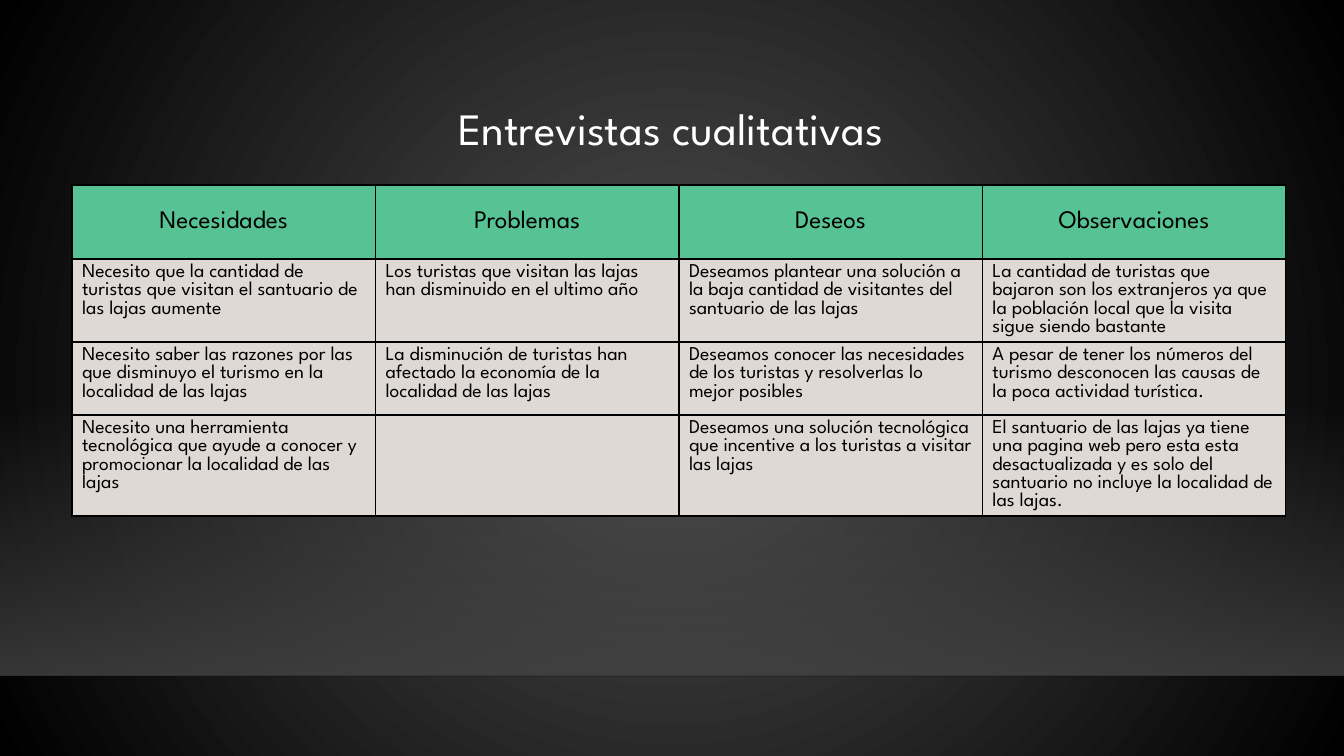
import pptx
import pptx.dml.color
import pptx.enum.shapes
import pptx.enum.text
import pptx.oxml
import pptx.oxml.ns
import pptx.util

RGBColor = pptx.dml.color.RGBColor
Pt = pptx.util.Pt
ALIGN = pptx.enum.text.PP_ALIGN
ANCHOR = pptx.enum.text.MSO_ANCHOR

HEADING = "Entrevistas cualitativas"
TOPICS = ["Necesidades", "Problemas", "Deseos", "Observaciones"]
ANSWERS = [
    [
        "Necesito que la cantidad de turistas que visitan el santuario de las lajas aumente",
        "Los turistas que visitan las lajas han disminuido en el ultimo año",
        "Deseamos plantear una solución a la baja cantidad de visitantes del santuario de las lajas",
        "La cantidad de turistas que bajaron son los extranjeros ya que la población local que la visita sigue siendo bastante",
    ],
    [
        "Necesito saber las razones por las que disminuyo el turismo en la localidad de las lajas",
        "La disminución de turistas han afectado la economía de la localidad de las lajas",
        "Deseamos conocer las necesidades de los turistas y resolverlas lo mejor posibles",
        "A pesar de tener los números del turismo desconocen las causas de la poca actividad turística.",
    ],
    [
        "Necesito una herramienta tecnológica que ayude a conocer y promocionar la localidad de las lajas",
        "",
        "Deseamos una solución tecnológica que incentive a los turistas a visitar las lajas",
        "El santuario de las lajas ya tiene una pagina web pero esta esta desactualizada y es solo del santuario no incluye la localidad de las lajas.",
    ],
]

WHITE = RGBColor(0xFF, 0xFF, 0xFF)
BLACK = RGBColor(0, 0, 0)
GREEN = RGBColor(0x57, 0xC2, 0x93)
SAND = RGBColor(0xDF, 0xD9, 0xD5)
GLOW = RGBColor(0x50, 0x50, 0x50)
FLOOR = RGBColor(0x45, 0x45, 0x45)

FONT = "League Spartan"
HEADING_FONT = {"name": FONT, "size": Pt(32), "bold": False}
TOPIC_FONT = {"name": FONT, "size": Pt(18), "bold": False}
ANSWER_FONT = {"name": FONT, "size": Pt(14), "bold": False}

SLIDE_WIDTH, SLIDE_HEIGHT = 1344, 756
FLOOR_TOP, FLOOR_BOTTOM = 400, 676
HEADING_BOX = (395, 95, 552, 65)
TABLE_LEFT, TABLE_TOP, TABLE_WIDTH = 72, 185, 1214
ROW_HEIGHTS = [74, 83, 73, 101]
EMU_PER_PX = 914400 / 100.8
NAMESPACE = pptx.oxml.ns.nsdecls("a")


def px(length):
    return pptx.util.Emu(round(length * EMU_PER_PX))


def box(*lengths):
    return [px(length) for length in lengths]


def assign(target, values):
    for attribute, value in values.items():
        setattr(target, attribute, value)


def write(paragraph, text, font_format, color, alignment):
    paragraph.alignment = alignment
    if text:
        run = paragraph.add_run()
        run.text = text
        assign(run.font, font_format)
        run.font.color.rgb = color


def set_alpha(color_element, percent):
    color_element.append(pptx.oxml.parse_xml(f'<a:alpha {NAMESPACE} val="{percent * 1000}"/>'))


def set_gradient(fill, owner, colors, direction):
    fill.gradient()
    for stop, color in zip(fill.gradient_stops, colors):
        stop.color.rgb = color
    gradient = owner.xpath(".//a:gradFill")[0]
    for linear in gradient.xpath("./a:lin"):
        gradient.remove(linear)
    gradient.append(pptx.oxml.parse_xml(direction))
    return gradient.xpath(".//a:srgbClr")


def add_backdrop(slide):
    radial = (
        f'<a:path {NAMESPACE} path="circle">'
        '<a:fillToRect l="50000" t="50000" r="50000" b="50000"/></a:path>'
    )
    set_gradient(slide.background.fill, slide.element, [GLOW, BLACK], radial)

    floor = slide.shapes.add_shape(
        pptx.enum.shapes.MSO_SHAPE.RECTANGLE,
        *box(0, FLOOR_TOP, SLIDE_WIDTH, FLOOR_BOTTOM - FLOOR_TOP),
    )
    floor.shadow.inherit = False
    floor.line.fill.background()
    downward = f'<a:lin {NAMESPACE} ang="5400000" scaled="0"/>'
    stops = set_gradient(floor.fill, floor.element, [FLOOR, FLOOR], downward)
    for stop, percent in zip(stops, [0, 80]):
        set_alpha(stop, percent)

    edge = slide.shapes.add_connector(
        pptx.enum.shapes.MSO_CONNECTOR.STRAIGHT,
        *box(0, FLOOR_BOTTOM, SLIDE_WIDTH, FLOOR_BOTTOM),
    )
    edge.line.width = Pt(1)
    edge.line.color.rgb = BLACK
    set_alpha(edge.element.xpath(".//a:ln//a:srgbClr")[0], 20)
    edge.element.spPr.append(pptx.oxml.parse_xml(f"<a:effectLst {NAMESPACE}/>"))


def add_heading(slide):
    heading = slide.shapes.title
    assign(heading, dict(zip(("left", "top", "width", "height"), box(*HEADING_BOX))))
    assign(heading.text_frame, {
        "word_wrap": True,
        "auto_size": pptx.enum.text.MSO_AUTO_SIZE.NONE,
        "vertical_anchor": ANCHOR.BOTTOM,
    })
    write(heading.text_frame.paragraphs[0], HEADING, HEADING_FONT, WHITE, ALIGN.CENTER)


def add_borders(cell):
    properties = cell._tc.get_or_add_tcPr()
    for side in "LRTB":
        properties.append(pptx.oxml.parse_xml(
            f'<a:ln{side} {NAMESPACE} w="{Pt(1)}"><a:solidFill>'
            f'<a:srgbClr val="{BLACK}"/></a:solidFill></a:ln{side}>'
        ))


def add_interviews(slide):
    rows = [TOPICS] + ANSWERS
    interviews = slide.shapes.add_table(
        len(rows), len(TOPICS),
        *box(TABLE_LEFT, TABLE_TOP, TABLE_WIDTH, sum(ROW_HEIGHTS)),
    ).table
    assign(interviews, {"first_row": False, "horz_banding": False})
    for column in interviews.columns:
        column.width = px(TABLE_WIDTH / len(TOPICS))
    for index, (texts, height) in enumerate(zip(rows, ROW_HEIGHTS)):
        interviews.rows[index].height = px(height)
        if index == 0:
            style, fill, alignment, anchor = TOPIC_FONT, GREEN, ALIGN.CENTER, ANCHOR.MIDDLE
        else:
            style, fill, alignment, anchor = ANSWER_FONT, SAND, ALIGN.LEFT, ANCHOR.TOP
        for cell, text in zip(interviews.rows[index].cells, texts):
            add_borders(cell)
            cell.fill.solid()
            cell.fill.fore_color.rgb = fill
            cell.vertical_anchor = anchor
            write(cell.text_frame.paragraphs[0], text, style, BLACK, alignment)


def main():
    deck = pptx.Presentation()
    assign(deck, {"slide_width": px(SLIDE_WIDTH), "slide_height": px(SLIDE_HEIGHT)})
    slide = deck.slides.add_slide(deck.slide_layouts.get_by_name("Title Only"))
    add_backdrop(slide)
    add_interviews(slide)
    add_heading(slide)
    deck.save("out.pptx")


if __name__ == "__main__":
    main()
